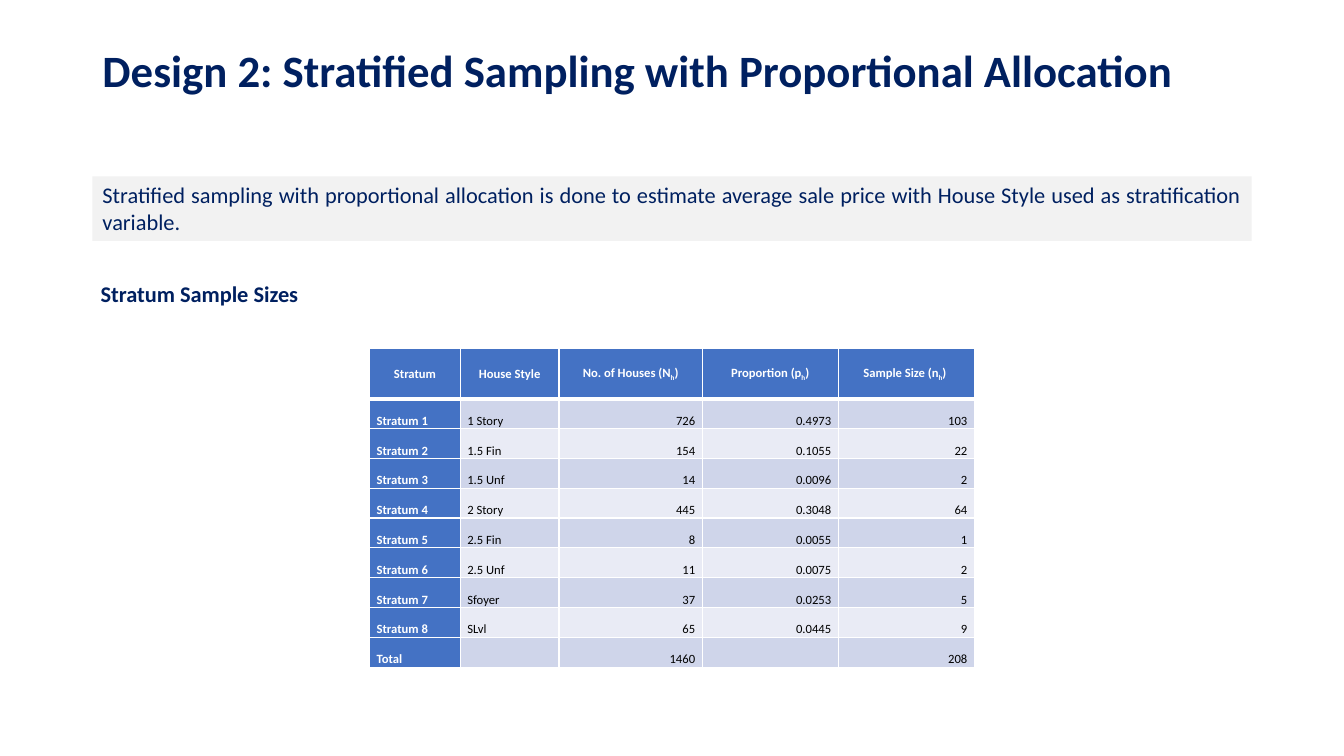
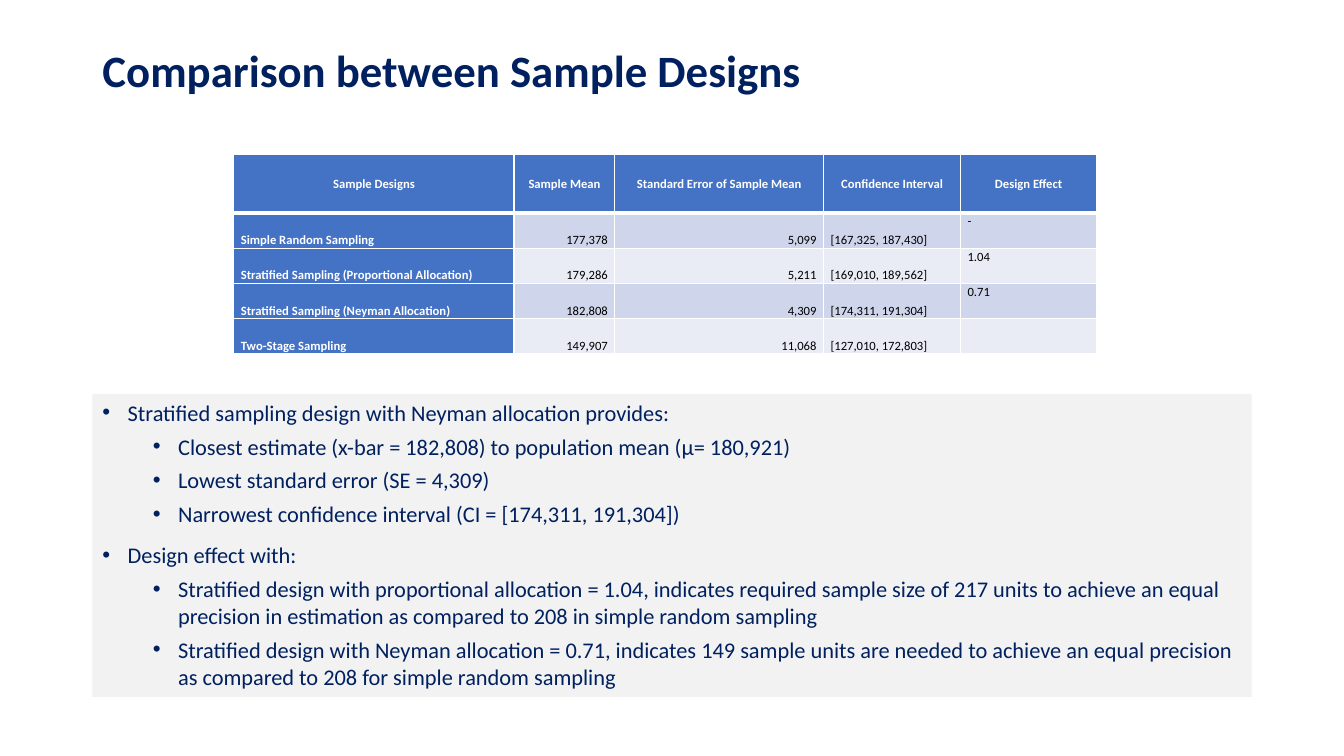
from lxml.etree import SubElement
from pptx import Presentation
from pptx.dml.color import RGBColor
from pptx.enum.text import MSO_ANCHOR as Anchor, MSO_AUTO_SIZE as AutoSize, PP_ALIGN as Align
from pptx.oxml.ns import qn
from pptx.util import Inches, Pt

UNIT = Inches(13.33) / 160
SLIDE_SIZE = (Inches(13.33), Inches(7.5))
FONT = "Calibri"
NAVY, PANEL, HEADER = "002060", "F2F2F2", "4472C4"
WHITE, BLACK = "FFFFFF", "000000"
BANDS = ("CFD5EA", "E9EBF5")
MARGIN, CONTENT_WIDTH, LINE_HEIGHT = 11, 138, 7.7

TEXT = (Align.LEFT, Anchor.BOTTOM)
NUMBER = (Align.RIGHT, Anchor.BOTTOM)
NOTE = (Align.LEFT, Anchor.TOP)

STRATA_COLUMNS = [(10.8, TEXT), (11.76, TEXT), (17.04, NUMBER), (16.2, NUMBER), (16.2, NUMBER)]
STRATA = [
    ("Stratum", "House Style", ("No. of Houses (N", "h", ")"),
     ("Proportion (p", "h", ")"), ("Sample Size (n", "h", ") ")),
    ("Stratum 1", "1 Story", "726", "0.4973", "103"),
    ("Stratum 2", "1.5 Fin", "154", "0.1055", "22"),
    ("Stratum 3", "1.5 Unf", "14", "0.0096", "2"),
    ("Stratum 4", "2 Story", "445", "0.3048", "64"),
    ("Stratum 5", "2.5 Fin", "8", "0.0055", "1"),
    ("Stratum 6", "2.5 Unf", "11", "0.0075", "2"),
    ("Stratum 7", "Sfoyer", "37", "0.0253", "5"),
    ("Stratum 8", "SLvl", "65", "0.0445", "9"),
    ("Total", "", "1460", "", "208"),
]

DESIGN_COLUMNS = [(33.36, TEXT), (12, NUMBER), (24.84, NUMBER), (16.32, TEXT), (16.2, NOTE)]
DESIGNS = [
    ("Sample Designs", "Sample Mean", "Standard Error of Sample Mean",
     "Confidence Interval", "Design Effect"),
    ("Simple Random Sampling", "177,378", "5,099", "[167,325, 187,430]", "-"),
    ("Stratified Sampling (Proportional Allocation)", "179,286", "5,211",
     "[169,010, 189,562]", "1.04"),
    ("Stratified Sampling (Neyman Allocation)", "182,808", "4,309",
     "[174,311, 191,304]", "0.71"),
    ("Two-Stage Sampling", "149,907", "11,068", "[127,010, 172,803]", ""),
]

FINDINGS = [
    (0, "Stratified sampling design with Neyman allocation provides:"),
    (1, "Closest estimate (x-bar = 182,808) to population mean (μ= 180,921)"),
    (1, "Lowest standard error (SE = 4,309)"),
    (1, "Narrowest confidence interval (CI = [174,311, 191,304])"),
    (0, "Design effect with:"),
    (1, "Stratified design with proportional allocation = 1.04, indicates required sample size "
        "of 217 units to achieve an equal precision in estimation as compared to 208 in simple "
        "random sampling"),
    (1, "Stratified design with Neyman allocation = 0.71, indicates 149 sample units are needed "
        "to achieve an equal precision as compared to 208 for simple random sampling"),
]


def grid(*cells):
    return [round(cell * UNIT) for cell in cells]


def paint(target, colour):
    target.solid()
    target.fore_color.rgb = RGBColor.from_string(colour)


def add_span(para, text, size, colour=NAVY, bold=False):
    span = para.add_run()
    span.text = text
    span.font.name, span.font.size, span.font.bold = FONT, Pt(size), bold
    span.font.color.rgb = RGBColor.from_string(colour)
    return span


def place(shape, box):
    shape.left, shape.top, shape.width, shape.height = grid(*box)


def add_heading(shape, text, size):
    frame = shape.text_frame
    frame.word_wrap, frame.auto_size = True, AutoSize.NONE
    frame.vertical_anchor = Anchor.MIDDLE
    para = frame.paragraphs[0]
    para.alignment, para.line_spacing = Align.LEFT, 0.9
    add_span(para, text, size, bold=True)


def set_bullet(para, indent, hanging, symbol=None):
    props = para._p.get_or_add_pPr()
    props.set("marL", str(Inches(indent)))
    props.set("indent", str(-Inches(hanging)))
    if symbol:
        SubElement(props, qn("a:buFont"), typeface="Arial")
        SubElement(props, qn("a:buChar"), char=symbol)
    else:
        SubElement(props, qn("a:buNone"))


def open_panel(page, box):
    body = page.placeholders[1]
    place(body, box)
    paint(body.fill, PANEL)
    frame = body.text_frame
    frame.auto_size, frame.vertical_anchor = AutoSize.NONE, Anchor.TOP
    return frame


def add_statement(page, box, text):
    para = open_panel(page, box).paragraphs[0]
    para.alignment, para.space_before = Align.JUSTIFY, Pt(10)
    set_bullet(para, 0, 0)
    add_span(para, text, 16)


def add_findings(page, box, findings):
    frame = open_panel(page, box)
    for index, (level, text) in enumerate(findings):
        para = frame.add_paragraph() if index else frame.paragraphs[0]
        para.level, para.alignment = level, Align.LEFT
        para.space_before = Pt(5 if level else 10)
        set_bullet(para, 0.25 + 0.5 * level, 0.25, "•")
        add_span(para, text, 16)


def set_borders(cell, bottom):
    props = cell._tc.get_or_add_tcPr()
    for side, width in (("L", 1), ("R", 1), ("T", 1), ("B", bottom)):
        line = SubElement(props, qn(f"a:ln{side}"), w=str(Pt(width)))
        SubElement(SubElement(line, qn("a:solidFill")), qn("a:srgbClr"), val=WHITE)


def fill_cell(cell, content, style, fill, colour, bold, bottom=1):
    set_borders(cell, bottom)
    paint(cell.fill, fill)
    cell.margin_left = cell.margin_right = Inches(0.07)
    cell.margin_top = cell.margin_bottom = 0
    para = cell.text_frame.paragraphs[0]
    para.alignment, cell.vertical_anchor = style
    para.line_spacing = 1.07
    if not content:
        SubElement(para._p, qn("a:endParaRPr"), sz="900")
        return
    parts = (content,) if isinstance(content, str) else content
    for index, part in enumerate(parts):
        span = add_span(para, part, 9, colour, bold)
        if index % 2:
            span.font._element.set("baseline", "-25000")


def add_grid_table(page, left, top, columns, rows, header_height, row_height):
    heights = [header_height] + [row_height] * (len(rows) - 1)
    box = grid(left, top, sum(width for width, _ in columns), sum(heights))
    table = page.shapes.add_table(len(rows), len(columns), *box).table
    for column, (width, _) in zip(table.columns, columns):
        column.width = grid(width)[0]
    for row, height in zip(table.rows, heights):
        row.height = grid(height)[0]
    for r, row in enumerate(rows):
        for c, content in enumerate(row):
            cell, style = table.cell(r, c), columns[c][1]
            if r == 0:
                fill_cell(cell, content, (Align.CENTER, Anchor.MIDDLE), HEADER, WHITE, True, 3)
            elif c == 0:
                fill_cell(cell, content, style, HEADER, WHITE, True)
            else:
                fill_cell(cell, content, style, BANDS[(r - 1) % 2], BLACK, False)


def add_page(deck, title):
    page = deck.slides.add_slide(deck.slide_layouts[1])
    place(page.shapes.title, (MARGIN, 4.8, CONTENT_WIDTH, LINE_HEIGHT))
    add_heading(page.shapes.title, title, 32)
    return page


def add_allocation_page(deck):
    page = add_page(deck, "Design 2: Stratified Sampling with Proportional Allocation")
    add_statement(page, (MARGIN, 21, CONTENT_WIDTH, LINE_HEIGHT),
                  "Stratified sampling with proportional allocation is done to estimate average "
                  "sale price with House Style used as stratification variable.")
    subtitle = page.shapes.add_textbox(*grid(10.8, 31.3, 42.8, LINE_HEIGHT))
    add_heading(subtitle, "Stratum Sample Sizes", 16)
    add_grid_table(page, 44, 41.5, STRATA_COLUMNS, STRATA, 6, 3.55)


def add_comparison_page(deck):
    page = add_page(deck, "Comparison between Sample Designs")
    add_findings(page, (MARGIN, 46.9, CONTENT_WIDTH, 36.1), FINDINGS)
    add_grid_table(page, 27.84, 18.4, DESIGN_COLUMNS, DESIGNS, 6.95, 4.2)


def main():
    deck = Presentation()
    deck.slide_width, deck.slide_height = SLIDE_SIZE
    add_allocation_page(deck)
    add_comparison_page(deck)
    deck.save("out.pptx")


if __name__ == "__main__":
    main()
